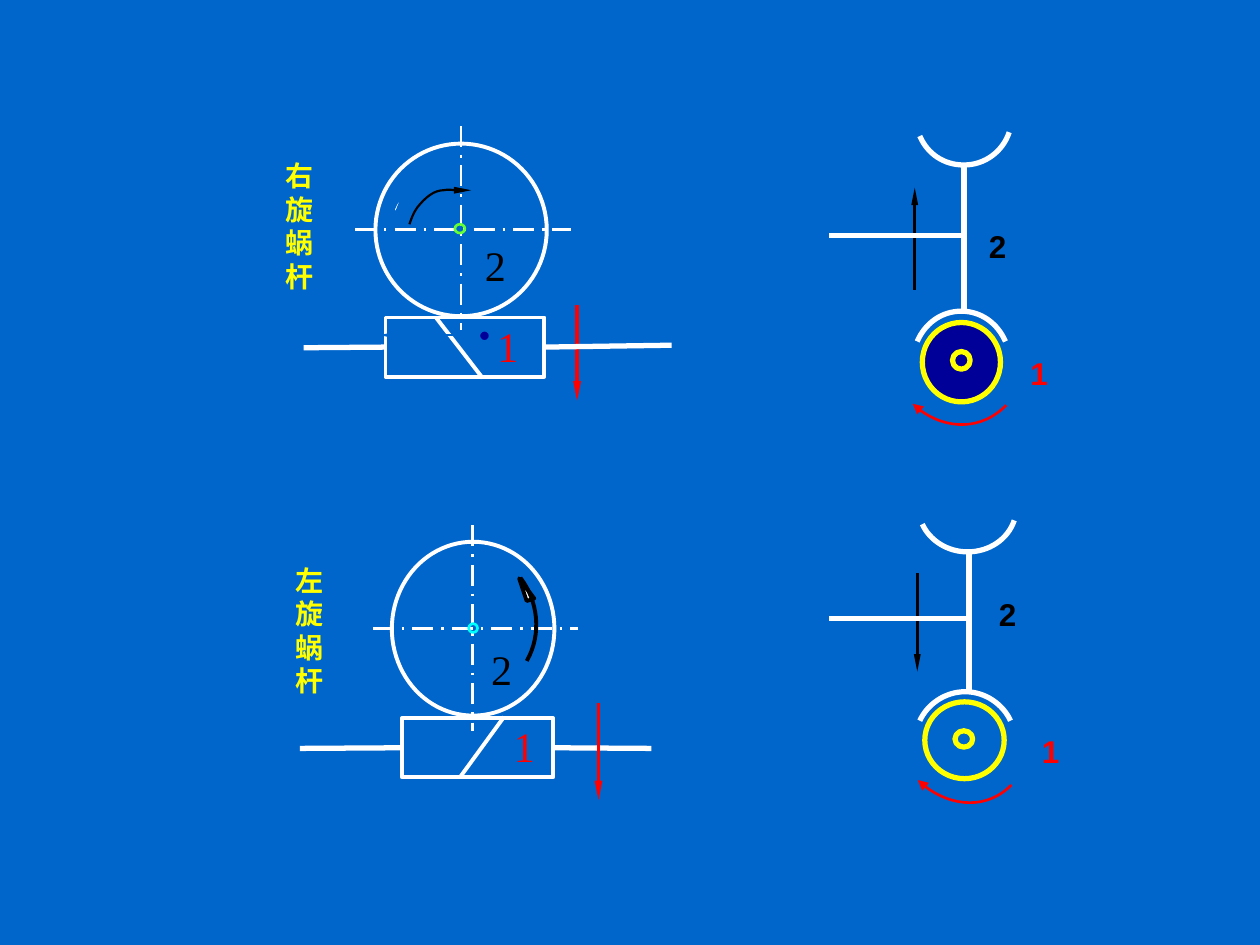
from lxml import etree
from pptx import Presentation
from pptx.dml.color import RGBColor
from pptx.enum import dml, shapes, text
from pptx.oxml import ns
from pptx.util import Inches, Pt

WHITE, BLACK, RED, YELLOW = "FFFFFF", "000000", "FF0000", "FFFF00"
BLUE, NAVY = "0066CC", "000099"


def style(part, color, width, fill=None, arrow=None):
    """Outline, fill and arrowhead ("head" or "tail") of a shape or connector."""
    part.line.color.rgb = RGBColor.from_string(color)
    part.line.width = Pt(width)
    size = {}
    if part.shape_type == shapes.MSO_SHAPE_TYPE.LINE:
        etree.SubElement(part._element.spPr, ns.qn("a:effectLst"))
        size = {"w": "sm", "len": "lg"}
    else:
        part.shadow.inherit = False
        if fill:
            part.fill.solid()
            part.fill.fore_color.rgb = RGBColor.from_string(fill)
        else:
            part.fill.background()
    if arrow:
        etree.SubElement(part.line._get_or_add_ln(), ns.qn(f"a:{arrow}End"),
                         type="triangle", **size)


def add_line(x1, y1, x2, y2, color=WHITE, width=3, arrow=None):
    line = slide.shapes.add_connector(
        shapes.MSO_CONNECTOR.STRAIGHT, Inches(x1), Inches(y1), Inches(x2), Inches(y2))
    style(line, color, width, arrow=arrow)
    return line


prs = Presentation()
prs.slide_width, prs.slide_height = Inches(10), Inches(7.5)
slide = prs.slides.add_slide(prs.slide_layouts[6])
slide.background.fill.solid()
slide.background.fill.fore_color.rgb = RGBColor.from_string(BLUE)

# Direction of the upper worm, behind its shaft
add_line(4.58, 2.42, 4.58, 3.18, RED, 2.25, "tail")

# Worms with a shaft on each side: left, top, width, shaft ends
for x, y, w, left_end, right_end in [
    (3.06, 2.52, 1.26, (2.41, 2.76), (5.33, 2.74)),
    (3.19, 5.70, 1.20, (2.38, 5.94), (5.17, 5.94)),
]:
    worm = slide.shapes.add_shape(
        shapes.MSO_SHAPE.RECTANGLE, Inches(x), Inches(y), Inches(w), Inches(0.47))
    style(worm, WHITE, 2.25)
    for side, end in [(1, left_end), (3, right_end)]:
        add_line(*end, *end).begin_connect(worm, side)

# Centre lines of the wheels
for ends in [(2.82, 1.82, 4.53, 1.82), (3.66, 1, 3.66, 2.62),
             (2.96, 4.99, 4.59, 4.99), (3.75, 4.17, 3.75, 5.8)]:
    add_line(*ends, width=1.5).line.dash_style = dml.MSO_LINE.LONG_DASH_DOT

# Worm threads, directions and side-view shafts
for line in [
    (3.46, 2.52, 3.83, 3, WHITE, 2.25),
    (4, 5.69, 3.65, 6.17, WHITE, 2.25),
    (3.85, 2.66, 3.01, 2.66, BLUE, 1.5, "tail"),
    (3.52, 1.51, 3.74, 1.51, BLACK, 1.25, "tail"),
    (4.75, 5.58, 4.75, 6.35, RED, 2.25, "tail"),
    (7.26, 2.3, 7.26, 1.49, BLACK, 1.5, "tail"),
    (7.28, 5.33, 7.28, 4.55, BLACK, 1.5, "head"),
    (7.65, 1.3, 7.65, 2.47),
    (7.65, 1.87, 6.58, 1.87),
    (7.69, 4.37, 7.69, 5.49),
    (7.69, 4.91, 6.58, 4.91),
]:
    add_line(*line)

# Wheels, centres and worm ends
for x, y, w, h, color, width, fill in [
    (2.98, 1.14, 1.36, 1.37, WHITE, 2.25, None),
    (3.61, 1.78, 0.08, 0.07, "66FF33", 1.5, None),
    (3.80, 2.62, 0.09, 0.09, BLUE, 1.5, NAVY),
    (3.11, 4.30, 1.29, 1.38, WHITE, 2.25, None),
    (3.72, 4.95, 0.07, 0.07, "00FFFF", 1.5, None),
    (7.32, 2.56, 0.62, 0.63, YELLOW, 3, NAVY),
    (7.56, 2.79, 0.14, 0.14, YELLOW, 3, NAVY),
    (7.34, 5.57, 0.63, 0.61, YELLOW, 3, None),
    (7.58, 5.80, 0.14, 0.13, YELLOW, 3, None),
]:
    circle = slide.shapes.add_shape(
        shapes.MSO_SHAPE.OVAL, Inches(x), Inches(y), Inches(w), Inches(h))
    style(circle, color, width, fill)

# Small arrow tips on the wheels
for corners, color in [
    ([(3.22, 1.51), (3.09, 1.67), (3.15, 1.69)], BLUE),
    ([(4.12, 4.59), (4.24, 4.75), (4.18, 4.77)], BLACK),
]:
    start, *others = [(Inches(x), Inches(y)) for x, y in corners]
    builder = slide.shapes.build_freeform(*start)
    builder.add_line_segments(others, close=True)
    style(builder.convert_to_shape(), color, 2.25, WHITE)

# Rotation arrows and wheel rims: Bezier points, then the turn in degrees
for points, turn, color, width, arrow in [
    ([(2.91, 1.65), (3.16, 1.65), (3.37, 1.81), (3.45, 2.02)], 240.5, BLUE, 2.25, None),
    ([(3.62, 1.51), (3.60, 1.51), (3.56, 1.50), (3.52, 1.51), (3.49, 1.51), (3.45, 1.52),
      (3.41, 1.55), (3.38, 1.57), (3.34, 1.61), (3.31, 1.65), (3.28, 1.69), (3.26, 1.75),
      (3.25, 1.78)], 0, BLACK, 1.25, None),
    ([(4.43, 4.73), (4.18, 4.73), (3.97, 4.89), (3.88, 5.10)], 119.5, BLACK, 2.25, None),
    ([(7.36, 2.94), (7.64, 2.94), (7.87, 3.18), (7.87, 3.48)], 134.2, RED, 1.5, "tail"),
    ([(7.41, 5.93), (7.68, 5.93), (7.90, 6.18), (7.90, 6.49)], 134.2, RED, 1.5, "tail"),
    ([(7.28, 2.71), (7.34, 2.57), (7.47, 2.47), (7.63, 2.47), (7.79, 2.47), (7.92, 2.57),
      (7.98, 2.71)], 0, WHITE, 3, None),
    ([(7.30, 1.08), (7.36, 1.22), (7.49, 1.31), (7.65, 1.31), (7.82, 1.31), (7.96, 1.20),
      (8.01, 1.05)], 0, WHITE, 3, None),
    ([(7.30, 5.72), (7.36, 5.59), (7.50, 5.49), (7.66, 5.49), (7.82, 5.49), (7.96, 5.59),
      (8.02, 5.72)], 0, WHITE, 3, None),
    ([(7.32, 4.16), (7.38, 4.29), (7.52, 4.38), (7.68, 4.38), (7.85, 4.38), (8, 4.28),
      (8.05, 4.13)], 0, WHITE, 3, None),
]:
    start, *others = [(Inches(x), Inches(y)) for x, y in points]
    builder = slide.shapes.build_freeform(*start)
    builder.add_line_segments(others, close=False)
    curve = builder.convert_to_shape()
    # Every three straight segments become one Bezier segment
    segments = list(curve._element.iter(ns.qn("a:lnTo")))
    for first in range(0, len(segments), 3):
        bezier = etree.SubElement(segments[first].getparent(), ns.qn("a:cubicBezTo"))
        for segment in segments[first:first + 3]:
            bezier.append(segment[0])
            segment.getparent().remove(segment)
    curve.rotation = turn
    style(curve, color, width, arrow=arrow)

# Labels: Chinese names one character a line, numbers of wheel (2) and worm (1)
CJK, SERIF, SANS = "Noto Sans CJK SC", "Times New Roman", "Arial"
for words, x, y, w, h, font, size, color in [
    ("右旋蜗杆", 2.17, 1.21, 0.60, 1.17, CJK, 16, YELLOW),
    ("左旋蜗杆", 2.25, 4.42, 0.52, 1.17, CJK, 16, YELLOW),
    ("2", 3.75, 1.85, 0.36, 0.5, SERIF, 24, BLACK),
    ("1", 3.85, 2.49, 0.36, 0.5, SERIF, 24, RED),
    ("2", 3.80, 5.06, 0.36, 0.5, SERIF, 24, BLACK),
    ("1", 3.98, 5.67, 0.36, 0.5, SERIF, 24, RED),
    ("2", 7.75, 1.75, 0.42, 0.4, SANS, 18, BLACK),
    ("1", 8.08, 2.76, 0.42, 0.4, SANS, 18, RED),
    ("2", 7.83, 4.67, 0.42, 0.4, SANS, 18, BLACK),
    ("1", 8.17, 5.76, 0.42, 0.4, SANS, 18, RED),
]:
    frame = slide.shapes.add_textbox(Inches(x), Inches(y), Inches(w), Inches(h)).text_frame
    frame.text = words
    frame.word_wrap = font != SERIF
    run = frame.paragraphs[0].runs[0]
    run.font.name = font
    run.font.size = Pt(size)
    run.font.bold = font != SERIF
    run.font.color.rgb = RGBColor.from_string(color)
    if font == CJK:
        etree.SubElement(run.font._element, ns.qn("a:ea"), typeface=font)
    if font == SERIF:
        frame.vertical_anchor = text.MSO_ANCHOR.MIDDLE
        frame.paragraphs[0].alignment = text.PP_ALIGN.CENTER

prs.save("out.pptx")
